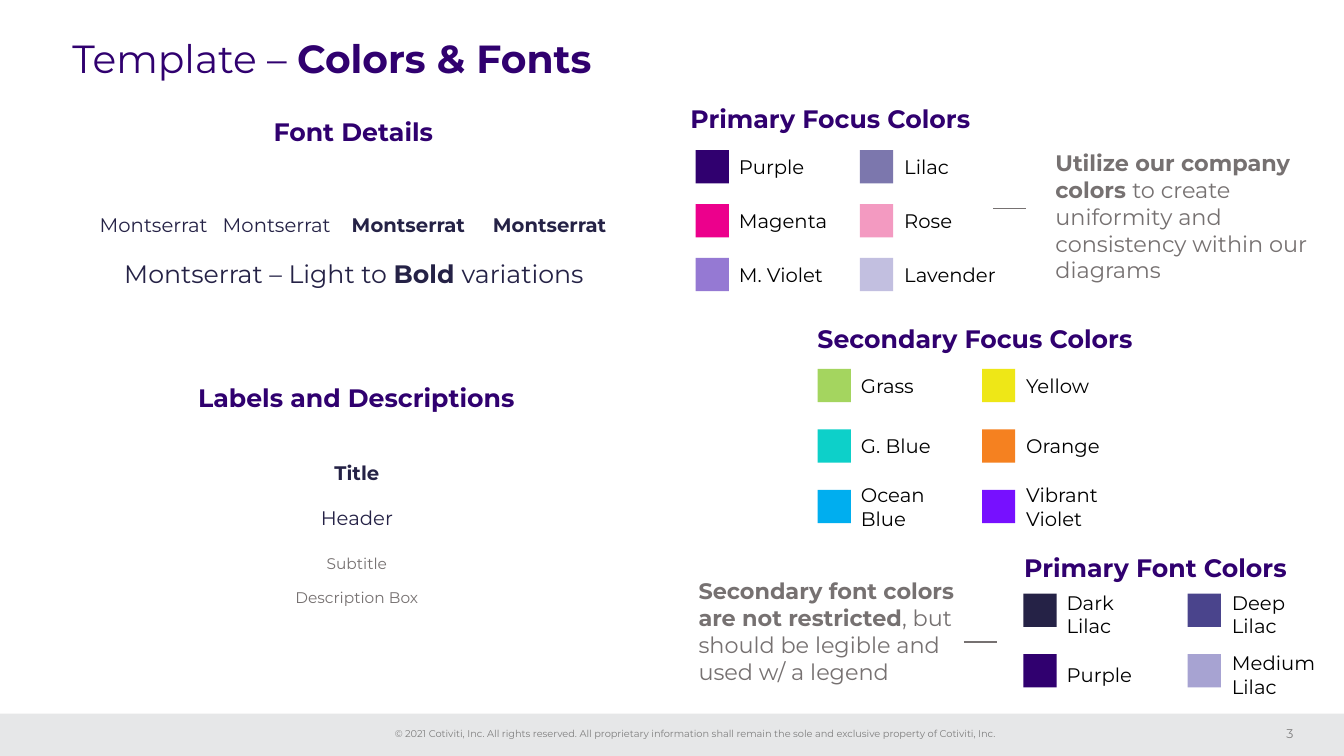
from pptx import Presentation
from pptx.dml.color import RGBColor
from pptx.enum.shapes import MSO_CONNECTOR, MSO_SHAPE
from pptx.enum.text import MSO_ANCHOR, PP_ALIGN
from pptx.oxml.ns import qn
from pptx.util import Inches, Pt
from lxml.etree import SubElement

FONT = "Montserrat"
PURPLE, DARK_LILAC = "30006F", "252246"
GREY, FOOTER_GREY, BLACK = "767171", "808080", "000000"
SWATCH = 0.33


def color(value):
    return RGBColor.from_string(value)


def add_text(slide, text, left, top, width, height, size=14, fill=BLACK,
             align=PP_ALIGN.LEFT, anchor=MSO_ANCHOR.TOP, wrap=True,
             margins=True, spacing=None, tabs=()):
    """Add a text box; ** switches bold on and off, a newline starts a paragraph."""
    box = slide.shapes.add_textbox(Inches(left), Inches(top), Inches(width), Inches(height))
    frame = box.text_frame
    frame.word_wrap = wrap
    frame.vertical_anchor = anchor
    if not margins:
        frame.margin_left = frame.margin_right = frame.margin_top = frame.margin_bottom = 0
    for number, line in enumerate(text.split("\n")):
        paragraph = frame.add_paragraph() if number else frame.paragraphs[0]
        paragraph.alignment = align
        if spacing:
            paragraph.line_spacing = spacing
        if tabs:
            tab_list = SubElement(paragraph._p.get_or_add_pPr(), qn("a:tabLst"))
            for position in tabs:
                SubElement(tab_list, qn("a:tab"), pos=str(Inches(position)), algn="l")
        for index, part in enumerate(line.split("**")):
            if part:
                run = paragraph.add_run()
                run.text = part
                run.font.name = FONT
                run.font.size = Pt(size)
                run.font.bold = index % 2 == 1
                run.font.color.rgb = color(fill)


def add_heading(slide, text, left, top, align=PP_ALIGN.LEFT):
    add_text(slide, f"**{text}**", left, top, 3.43, 0.42, size=18, fill=PURPLE, align=align)


def add_rectangle(slide, left, top, width, height, fill):
    shape = slide.shapes.add_shape(MSO_SHAPE.RECTANGLE, Inches(left), Inches(top),
                                   Inches(width), Inches(height))
    shape.shadow.inherit = False
    shape.fill.solid()
    shape.fill.fore_color.rgb = color(fill)
    shape.line.fill.background()


def add_dash(slide, left, top):
    """Add the short line that ties a note to its palette."""
    line = slide.shapes.add_connector(MSO_CONNECTOR.STRAIGHT, Inches(left), Inches(top),
                                      Inches(left + 0.33), Inches(top))
    line.line.color.rgb = color(GREY)
    line.line.width = Pt(1)
    SubElement(line._element.spPr, qn("a:effectLst"))


def add_palette(slide, heading, left, top, rows, inset, drop, row_pitch, label_drop=0):
    """Add a heading with two columns of swatches, each labelled on its right."""
    add_heading(slide, heading, left, top)
    for row, entries in enumerate(rows):
        for column, (name, fill, lines) in enumerate(entries):
            x = left + inset + column * 1.63
            y = top + drop + row * row_pitch
            height = SWATCH if lines == 1 else 0.54
            add_rectangle(slide, x, y, SWATCH, SWATCH, fill)
            add_text(slide, name, x + SWATCH + 0.01 * column,
                     y + (SWATCH - height) / 2 + label_drop, 1.17, height,
                     anchor=MSO_ANCHOR.MIDDLE)


def add_frame(slide):
    """Add the title, the footer band and the page number."""
    add_rectangle(slide, 0, 7.08, 13.33, 0.42, "E6E7E8")
    add_text(slide, "© 2021 Cotiviti, Inc. All rights reserved. All proprietary information "
             "shall remain the sole and exclusive property of Cotiviti, Inc.",
             3.76, 7.17, 6.27, 0.22, size=7, fill=FOOTER_GREY, align=PP_ALIGN.CENTER, wrap=False)
    add_text(slide, "3", 12.3, 7.13, 0.53, 0.3, size=9, fill=FOOTER_GREY,
             align=PP_ALIGN.RIGHT, anchor=MSO_ANCHOR.MIDDLE, margins=False)
    add_text(slide, "Template – **Colors & Fonts**", 0.62, 0.25, 12.21, 0.7, size=28,
             fill=PURPLE, anchor=MSO_ANCHOR.MIDDLE, spacing=0.9)


def add_font_details(slide, left, top):
    add_heading(slide, "Font Details", left + 1.14, top, PP_ALIGN.CENTER)
    add_text(slide, "Montserrat\tMontserrat\t**Montserrat\tMontserrat**", left + 0.24, top + 0.96,
             5.48, 0.42, fill=DARK_LILAC, tabs=(1.22, 2.5, 3.9))
    add_text(slide, "Montserrat – Light to **Bold **variations", left, top + 1.41, 5.72, 0.42,
             size=18, fill=DARK_LILAC, align=PP_ALIGN.CENTER)


def add_label_samples(slide, left, top):
    add_heading(slide, "Labels and Descriptions", left, top, PP_ALIGN.CENTER)
    samples = [("**Title**", 14, DARK_LILAC), ("Header", 14, DARK_LILAC), ("Subtitle", 11, GREY)]
    for row, (text, size, fill) in enumerate(samples):
        add_text(slide, text, left + 0.55, top + 0.78 + row * 0.45, 2.34, 0.34, size=size,
                 fill=fill, align=PP_ALIGN.CENTER, anchor=MSO_ANCHOR.MIDDLE)
    add_text(slide, "Description Box", left + 0.55, top + 2.05, 2.34, 0.96, size=11,
             fill=GREY, align=PP_ALIGN.CENTER)


def add_note(slide, text, left, top):
    add_text(slide, text, left, top, 2.96, 1.26, size=16, fill=GREY)


def main():
    presentation = Presentation()
    presentation.slide_width, presentation.slide_height = Inches(13.33), Inches(7.5)
    slide = presentation.slides.add_slide(presentation.slide_layouts[6])
    add_frame(slide)
    add_font_details(slide, 0.65, 1.1)
    add_label_samples(slide, 1.82, 3.74)
    add_palette(slide, "Primary Focus Colors", 6.75, 0.98, [
        [("Purple", PURPLE, 1), ("Lilac", "7C77AD", 1)],
        [("Magenta", "EC008C", 1), ("Rose", "F39AC1", 1)],
        [("M. Violet", "9579D3", 1), ("Lavender", "C2BFE0", 1)],
    ], inset=0.15, drop=0.51, row_pitch=0.535)
    add_palette(slide, "Secondary Focus Colors", 8.01, 3.16, [
        [("Grass", "A4D55F", 1), ("Yellow", "EEE717", 1)],
        [("G. Blue", "0DD0C9", 1), ("Orange", "F58120", 1)],
        [("Ocean Blue", "00AEEF", 2), ("Vibrant Violet", "7710FF", 2)],
    ], inset=0.1, drop=0.5, row_pitch=0.6)
    add_palette(slide, "Primary Font Colors", 10.06, 5.43, [
        [("Dark\nLilac", DARK_LILAC, 2), ("Deep\nLilac", "4A448C", 2)],
        [("Purple", PURPLE, 1), ("Medium Lilac", "A7A3D2", 2)],
    ], inset=0.09, drop=0.46, row_pitch=0.6, label_drop=0.04)
    add_note(slide, "**Utilize our company colors **to create uniformity and consistency "
             "within our diagrams", 10.37, 1.43)
    add_dash(slide, 9.85, 2.07)
    add_note(slide, "**Secondary font colors are not restricted**, but should be legible "
             "and used w/ a legend", 6.83, 5.68)
    add_dash(slide, 9.56, 6.37)
    presentation.save("out.pptx")


if __name__ == "__main__":
    main()
